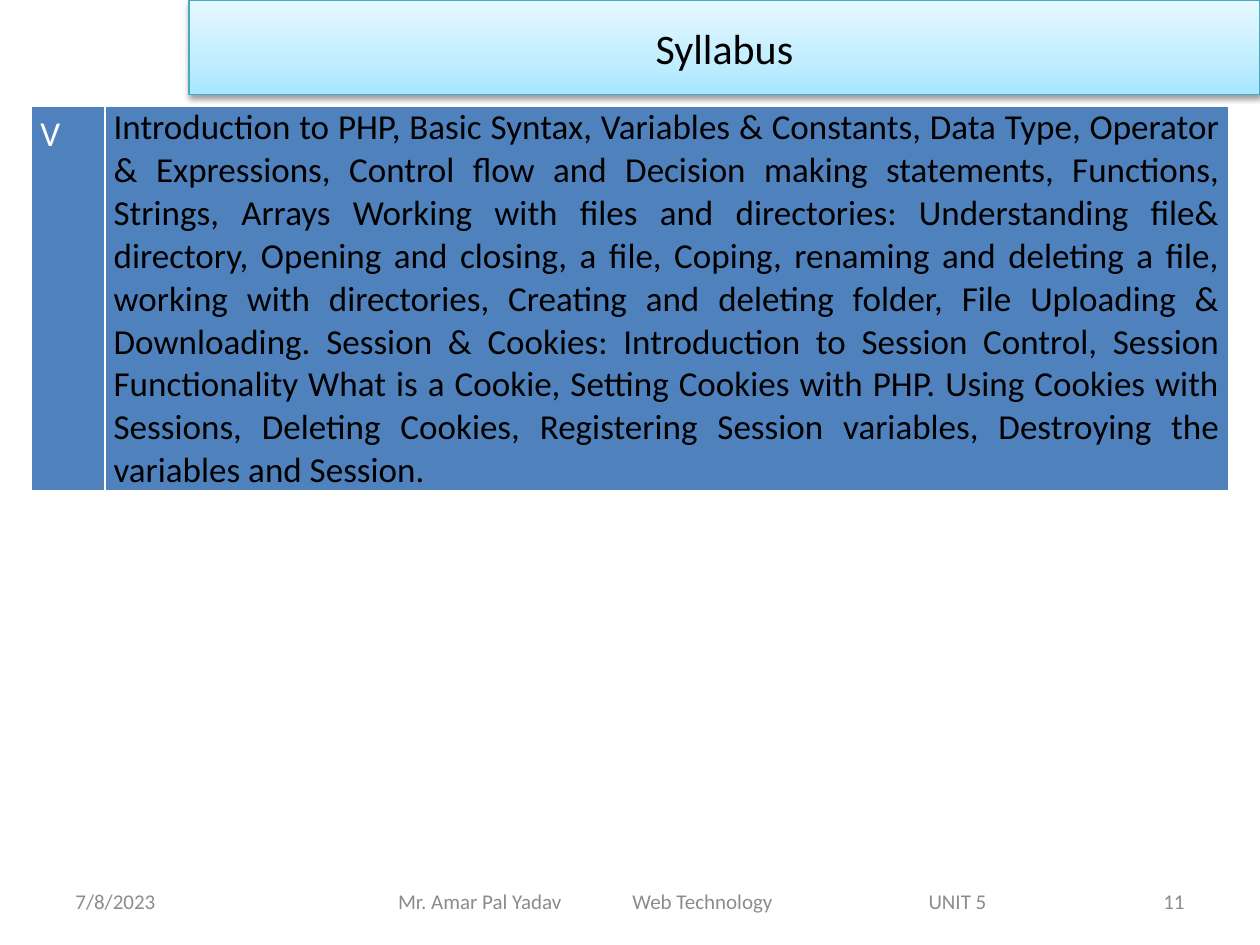
"""Build the Syllabus slide for unit V of a web technology course."""
from dataclasses import dataclass
from typing import Any

import lxml.etree
import pptx
import pptx.dml.color
import pptx.enum.text
import pptx.oxml
import pptx.oxml.ns
import pptx.util

RGBColor = pptx.dml.color.RGBColor
Align = pptx.enum.text.PP_ALIGN
Anchor = pptx.enum.text.MSO_ANCHOR

BLACK = RGBColor(0x00, 0x00, 0x00)
WHITE = RGBColor(0xFF, 0xFF, 0xFF)
GREY = RGBColor(0x8C, 0x8C, 0x8C)
BLUE = RGBColor(0x4F, 0x81, 0xBD)
TEAL = RGBColor(0x46, 0xAA, 0xC5)
BANNER_STOPS = (
    (0, RGBColor(0xA7, 0xE6, 0xFF)),
    (35, RGBColor(0xC1, 0xED, 0xFF)),
    (100, RGBColor(0xE7, 0xF8, 0xFF)),
)
BORDERS = {"lnL": 1, "lnR": 1, "lnT": 1, "lnB": 3}
FONT = "Calibri"
UNIT = pptx.util.Inches(0.25)
NAMESPACE = pptx.oxml.ns.nsdecls("a")

TOPICS = (
    "Introduction to PHP, Basic Syntax, Variables & Constants, Data Type, "
    "Operator & Expressions, Control flow and Decision making statements, "
    "Functions, Strings, Arrays Working with files and directories: "
    "Understanding file& directory, Opening and closing, a file, Coping, "
    "renaming and deleting a file, working with directories, Creating and "
    "deleting folder, File Uploading & Downloading. Session & Cookies: "
    "Introduction to Session Control, Session Functionality What is a Cookie, "
    "Setting Cookies with PHP. Using Cookies with Sessions, Deleting Cookies, "
    "Registering Session variables, Destroying the variables and Session."
)


@dataclass(frozen=True)
class Area:
    """A place on the slide in grid columns and rows."""

    col: float
    row: float
    cols: float
    rows: float

    def lengths(self) -> tuple[int, ...]:
        """Return left, top, width and height."""
        return tuple(round(n * UNIT) for n in (self.col, self.row, self.cols, self.rows))


@dataclass(frozen=True)
class FooterItem:
    """One text in the footer line."""

    text: str
    area: Area
    align: Any
    inset: float = 0.1
    tabs: tuple[float, ...] = ()


BANNER = Area(6, 0, 34, 3)
SYLLABUS = Area(1, 3.38, 38, 12.2)
UNIT_COLS = 2.33
FOOTER = (
    FooterItem("7/8/2023", Area(2, 27.8, 9.33, 1.6), Align.LEFT),
    FooterItem("Mr. Amar Pal Yadav\tWeb Technology\tUNIT 5", Area(11, 27.8, 22, 1.6),
               Align.LEFT, 0.41, (1.86, 4.21)),
    FooterItem("11", Area(28.67, 27.8, 9.33, 1.6), Align.RIGHT),
)


def write(frame: Any, text: str, *, size: float, color: RGBColor, align: Any,
          spacing: float = 1.0, tabs: tuple[float, ...] = ()) -> None:
    """Put one formatted paragraph in a text frame."""
    frame.word_wrap = True
    paragraph = frame.paragraphs[0]
    paragraph.text = text
    paragraph.alignment = align
    paragraph.line_spacing = spacing
    if tabs:
        tab_list = lxml.etree.SubElement(paragraph._p.get_or_add_pPr(), pptx.oxml.ns.qn("a:tabLst"))
        for stop in tabs:
            lxml.etree.SubElement(tab_list, pptx.oxml.ns.qn("a:tab"),
                                  pos=str(pptx.util.Inches(stop)), algn="l")
    for run in paragraph.runs:
        run.font.name = FONT
        run.font.size = pptx.util.Pt(size)
        run.font.bold = False
        run.font.color.rgb = color


def place(shape: Any, area: Area) -> None:
    """Move a shape to its area."""
    shape.left, shape.top, shape.width, shape.height = area.lengths()


def draw_banner(title: Any) -> None:
    """Format the title placeholder as a gradient banner with a shadow."""
    place(title, BANNER)
    stops = "".join(f'<a:gs pos="{share * 1000}"><a:srgbClr val="{color}"/></a:gs>'
                    for share, color in BANNER_STOPS)
    properties = title._element.spPr
    for xml in (
        f'<a:prstGeom {NAMESPACE} prst="rect"><a:avLst/></a:prstGeom>',
        f'<a:gradFill {NAMESPACE} rotWithShape="1"><a:gsLst>{stops}</a:gsLst>'
        '<a:lin ang="16200000" scaled="0"/></a:gradFill>',
    ):
        properties.append(pptx.oxml.parse_xml(xml))
    title.line.color.rgb = TEAL
    title.line.width = pptx.util.Pt(0.75)
    properties.append(pptx.oxml.parse_xml(
        f'<a:effectLst {NAMESPACE}><a:outerShdw blurRad="40000" dist="20000" dir="5400000" '
        'rotWithShape="0"><a:srgbClr val="000000"><a:alpha val="38000"/></a:srgbClr>'
        '</a:outerShdw></a:effectLst>'))
    title.text_frame.vertical_anchor = Anchor.MIDDLE
    write(title.text_frame, "Syllabus", size=24, color=BLACK, align=Align.CENTER)


def format_cell(cell: Any) -> None:
    """Set the fill, margins and borders of a cell."""
    cell.margin_left = cell.margin_right = pptx.util.Inches(0.07)
    cell.margin_top = cell.margin_bottom = 0
    properties = cell._tc.get_or_add_tcPr()
    for side, width in BORDERS.items():
        properties.append(pptx.oxml.parse_xml(
            f'<a:{side} {NAMESPACE} w="{pptx.util.Pt(width)}"><a:solidFill>'
            f'<a:srgbClr val="{WHITE}"/></a:solidFill></a:{side}>'))
    cell.fill.solid()
    cell.fill.fore_color.rgb = BLUE


def draw_syllabus(slide: Any) -> None:
    """Draw the table with the unit number and its topics."""
    table = slide.shapes.add_table(1, 2, *SYLLABUS.lengths()).table
    table.first_row = table.horz_banding = False
    for column, cols in zip(table.columns, (UNIT_COLS, SYLLABUS.cols - UNIT_COLS)):
        column.width = round(cols * UNIT)
    unit, topics = table.cell(0, 0), table.cell(0, 1)
    for cell in (unit, topics):
        format_cell(cell)
    write(unit.text_frame, "V", size=20, color=WHITE, align=Align.JUSTIFY, spacing=1.15)
    write(topics.text_frame, TOPICS, size=20, color=BLACK, align=Align.JUSTIFY)


def draw_footer_item(slide: Any, item: FooterItem) -> None:
    """Draw one footer text."""
    frame = slide.shapes.add_textbox(*item.area.lengths()).text_frame
    frame.margin_left = pptx.util.Inches(item.inset)
    frame.vertical_anchor = Anchor.MIDDLE
    write(frame, item.text, size=12, color=GREY, align=item.align, tabs=item.tabs)


def main() -> None:
    """Build and save the slide."""
    deck = pptx.Presentation()
    deck.slide_width, deck.slide_height = 40 * UNIT, 30 * UNIT
    slide = deck.slides.add_slide(deck.slide_layouts[5])
    draw_banner(slide.shapes.title)
    draw_syllabus(slide)
    for item in FOOTER:
        draw_footer_item(slide, item)
    deck.save("out.pptx")


if __name__ == "__main__":
    main()
